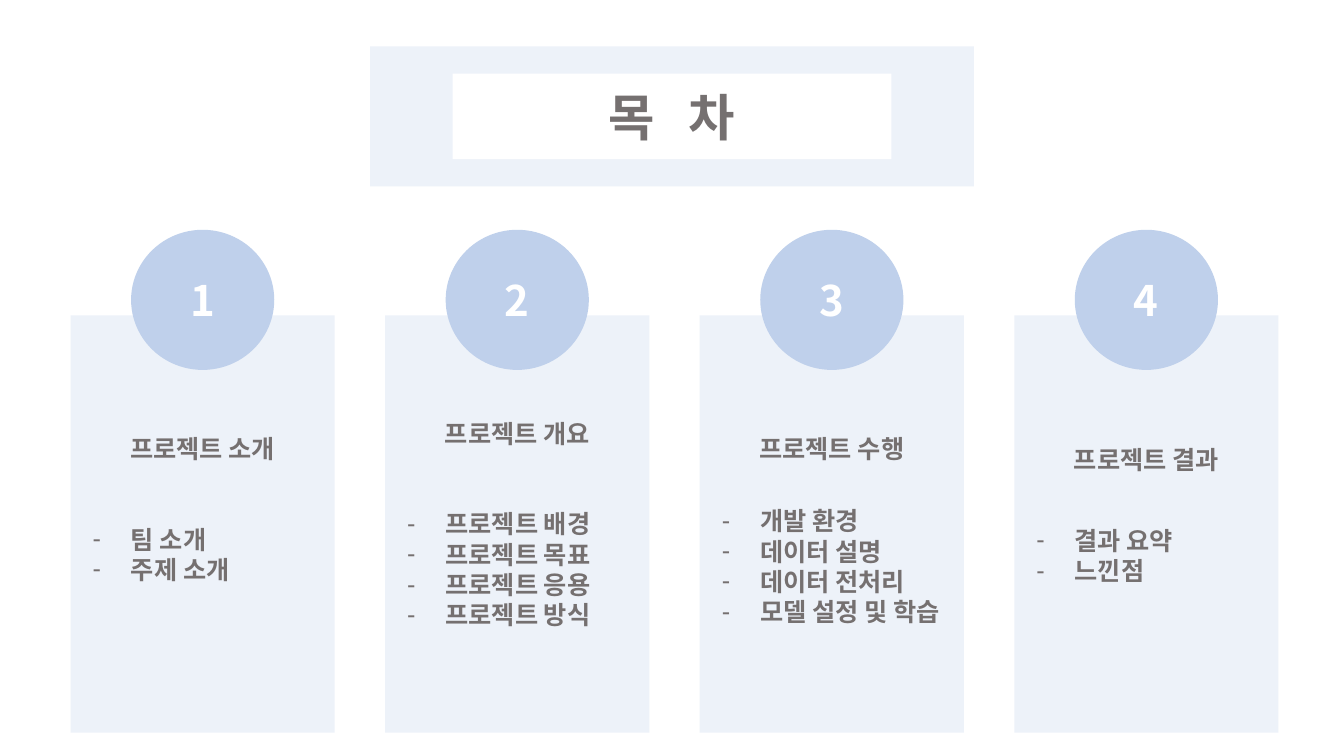
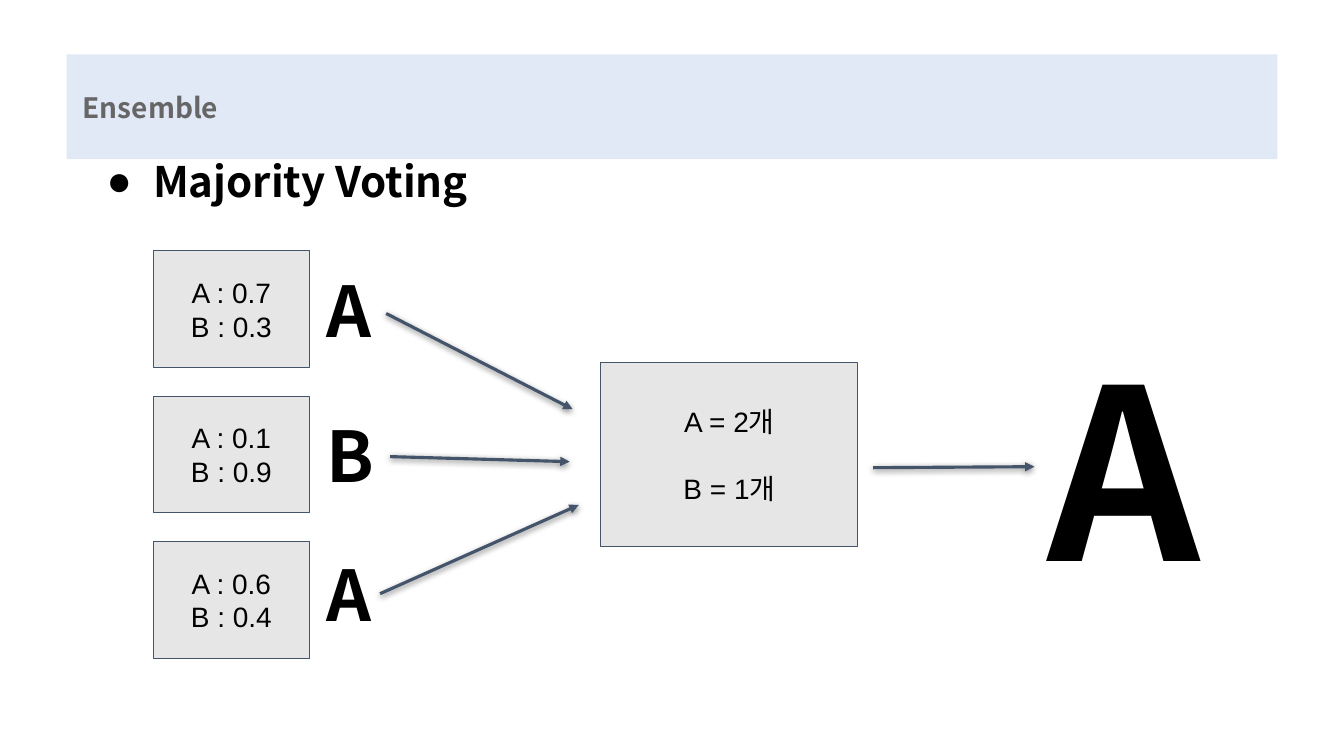
from dataclasses import dataclass

from lxml.etree import SubElement
from pptx import Presentation
from pptx.dml.color import RGBColor
from pptx.enum.shapes import MSO_CONNECTOR as Link, MSO_SHAPE as Form
from pptx.enum.text import MSO_ANCHOR as Anchor, PP_ALIGN as Align
from pptx.oxml.ns import qn
from pptx.util import Inches, Pt

NOTO = "Noto Sans CJK KR"
BLACK, WHITE, GRAY = "000000", "FFFFFF", "757070"
PALE, BAND, DISC = "EDF2F9", "E2E9F6", "BFD0EB"
BOX, EDGE = "E7E6E6", "44546A"


@dataclass(frozen=True)
class Style:
    size: int
    color: str
    font: str = NOTO
    asian: str = NOTO
    bold: bool = True


HEAD = Style(36, GRAY, "Montserrat")
CARD = Style(18, GRAY)
DIGIT = Style(30, WHITE)
TOPIC = Style(20, "666666")
POINT = Style(30, BLACK)
SCORE = Style(20, BLACK, "Arial", "", False)
VOTE = Style(50, BLACK)
WINNER = Style(170, BLACK)


@dataclass(frozen=True)
class Card:
    title: str
    items: tuple[str, ...]
    top: float  # inches from the card edge to the title
    gap: float  # points between title and list


@dataclass(frozen=True)
class Voter:
    score: str
    vote: str
    top: float
    start: tuple[float, float]
    end: tuple[float, float]


CARDS = (
    Card("프로젝트 소개", ("팀 소개", "주제 소개"), 1.17, 43),
    Card("프로젝트 개요", ("프로젝트 배경", "프로젝트 목표", "프로젝트 응용", "프로젝트 방식"), 1.02, 43),
    Card("프로젝트 수행", ("개발 환경", "데이터 설명", "데이터 전처리", "모델 설정 및 학습"), 1.17, 30),
    Card("프로젝트 결과", ("결과 요약", "느낀점"), 1.28, 36),
)
VOTERS = (
    Voter("A : 0.7\nB : 0.3", "A", 2.6, (3.83, 3.11), (5.68, 4.06)),
    Voter("A : 0.1\nB : 0.9", "B", 4.04, (3.87, 4.53), (5.65, 4.58)),
    Voter("A : 0.6\nB : 0.4", "A", 5.42, (3.77, 5.89), (5.74, 5.01)),
)


def rgb(color: str) -> RGBColor:
    return RGBColor.from_string(color)


def style_run(run, style: Style) -> None:
    font = run.font
    font.size, font.bold, font.name = Pt(style.size), style.bold, style.font
    font.color.rgb = rgb(style.color)
    if style.asian:
        SubElement(run._r.get_or_add_rPr(), qn("a:ea"), typeface=style.asian)


def write(shape, text: str, style: Style, align=Align.CENTER, pad: float = 0.05):
    """Fill a shape with middle-anchored text, one paragraph a line."""
    frame = shape.text_frame
    frame.word_wrap = True
    frame.vertical_anchor = Anchor.MIDDLE
    frame.margin_left = frame.margin_right = Inches(0.1)
    frame.margin_top = frame.margin_bottom = Inches(pad)
    frame.text = text
    for para in frame.paragraphs:
        para.alignment = align
        for run in para.runs:
            style_run(run, style)
    return frame


def add_block(slide, form, left: float, top: float, width: float, height: float,
              fill: str, line: str = ""):
    shape = slide.shapes.add_shape(form, Inches(left), Inches(top), Inches(width), Inches(height))
    shape.shadow.inherit = False
    shape.fill.solid()
    shape.fill.fore_color.rgb = rgb(fill)
    if line:
        shape.line.color.rgb = rgb(line)
        shape.line.width = Pt(0.75)
    else:
        shape.line.fill.background()
    return shape


def add_label(slide, left: float, top: float, width: float, height: float,
              text: str, style: Style, align=Align.CENTER, pad: float = 0.1):
    box = slide.shapes.add_textbox(Inches(left), Inches(top), Inches(width), Inches(height))
    return write(box, text, style, align, pad)


def add_bullet(para, mark: str, color: str, hang: float) -> None:
    props = para._p.get_or_add_pPr()
    props.set("marL", str(Inches(0.5)))
    props.set("indent", str(-Inches(hang)))
    SubElement(SubElement(props, qn("a:buClr")), qn("a:srgbClr"), val=color)
    SubElement(props, qn("a:buFont"), typeface="Arial")
    SubElement(props, qn("a:buChar"), char=mark)


def add_arrow(slide, start: tuple[float, float], end: tuple[float, float]) -> None:
    """Draw an arrow with a soft shadow below it."""
    arrow = slide.shapes.add_connector(Link.STRAIGHT, *(Inches(n) for n in start + end))
    arrow.line.color.rgb = rgb(EDGE)
    arrow.line.width = Pt(2.25)
    props = arrow._element.spPr
    SubElement(props.find(qn("a:ln")), qn("a:tailEnd"), type="triangle")
    shade = SubElement(SubElement(props, qn("a:effectLst")), qn("a:outerShdw"),
                       blurRad=str(Pt(4.5)), dist=str(Pt(1.5)), dir="5400000", rotWithShape="0")
    tint = SubElement(shade, qn("a:srgbClr"), val=BLACK)
    SubElement(tint, qn("a:alpha"), val="50000")


def add_card(slide, left: float, card: Card) -> None:
    shape = add_block(slide, Form.RECTANGLE, left, 3.13, 2.62, 4.14, PALE)
    frame = write(shape, "\n".join((card.title, *card.items)), CARD)
    frame.vertical_anchor = Anchor.TOP
    frame.margin_top = Inches(card.top)
    title, *items = frame.paragraphs
    title.line_spacing = Pt(21.6)
    for item in items:
        item.alignment = Align.LEFT
        item.line_spacing = Pt(21.6)
        item.space_before = Pt(card.gap if item is items[0] else 0)
        add_bullet(item, "-", GRAY, 0.38)


def draw_contents(slide) -> None:
    for num, card in enumerate(CARDS):
        left = 0.7 + 3.12 * num
        add_card(slide, left, card)
        disc = add_block(slide, Form.FLOWCHART_CONNECTOR, left + 0.6, 2.28, 1.42, 1.39, DISC)
        write(disc, str(num + 1), DIGIT)
    add_block(slide, Form.RECTANGLE, 3.67, 0.46, 5.99, 1.39, PALE)
    plate = add_block(slide, Form.RECTANGLE, 4.49, 0.73, 4.35, 0.85, WHITE)
    para = write(plate, "목 ", HEAD).paragraphs[0]
    para.runs[0]._r.get_or_add_rPr().set("spc", "800")
    last = para.add_run()
    last.text = "차"
    style_run(last, HEAD)


def draw_voting(slide) -> None:
    body = add_label(slide, 0.92, 1.55, 11.5, 5.13, "Majority Voting", POINT, Align.LEFT, 0.05)
    body.vertical_anchor = Anchor.TOP
    point = body.paragraphs[0]
    point.line_spacing = 0.9
    add_bullet(point, "●", BLACK, 0.46)

    for row, voter in enumerate(VOTERS):
        box = add_block(slide, Form.RECTANGLE, 1.52, 2.49 + 1.44 * row, 1.55, 1.16, BOX, EDGE)
        write(box, voter.score, SCORE, pad=0.1)
        add_label(slide, 3.14, voter.top, 0.62, 0.94, voter.vote, VOTE)
        add_arrow(slide, voter.start, voter.end)

    count = add_block(slide, Form.RECTANGLE, 5.96, 3.6, 2.55, 1.82, BOX, EDGE)
    tally = write(count, "A = 2개\nB = 1개", SCORE, pad=0.1)
    tally.paragraphs[1].space_before = Pt(24)
    add_arrow(slide, (8.66, 4.64), (10.26, 4.63))
    add_label(slide, 10.26, 3.57, 1.78, 2.12, "A", WINNER)

    band = add_block(slide, Form.RECTANGLE, 0.66, 0.54, 12.01, 1.04, BAND)
    write(band, "Ensemble", TOPIC, Align.LEFT).margin_left = Inches(0.16)


def main() -> None:
    deck = Presentation()
    deck.slide_width, deck.slide_height = Inches(13.33), Inches(7.5)
    for draw in (draw_contents, draw_voting):
        draw(deck.slides.add_slide(deck.slide_layouts[6]))
    deck.save("out.pptx")


if __name__ == "__main__":
    main()
